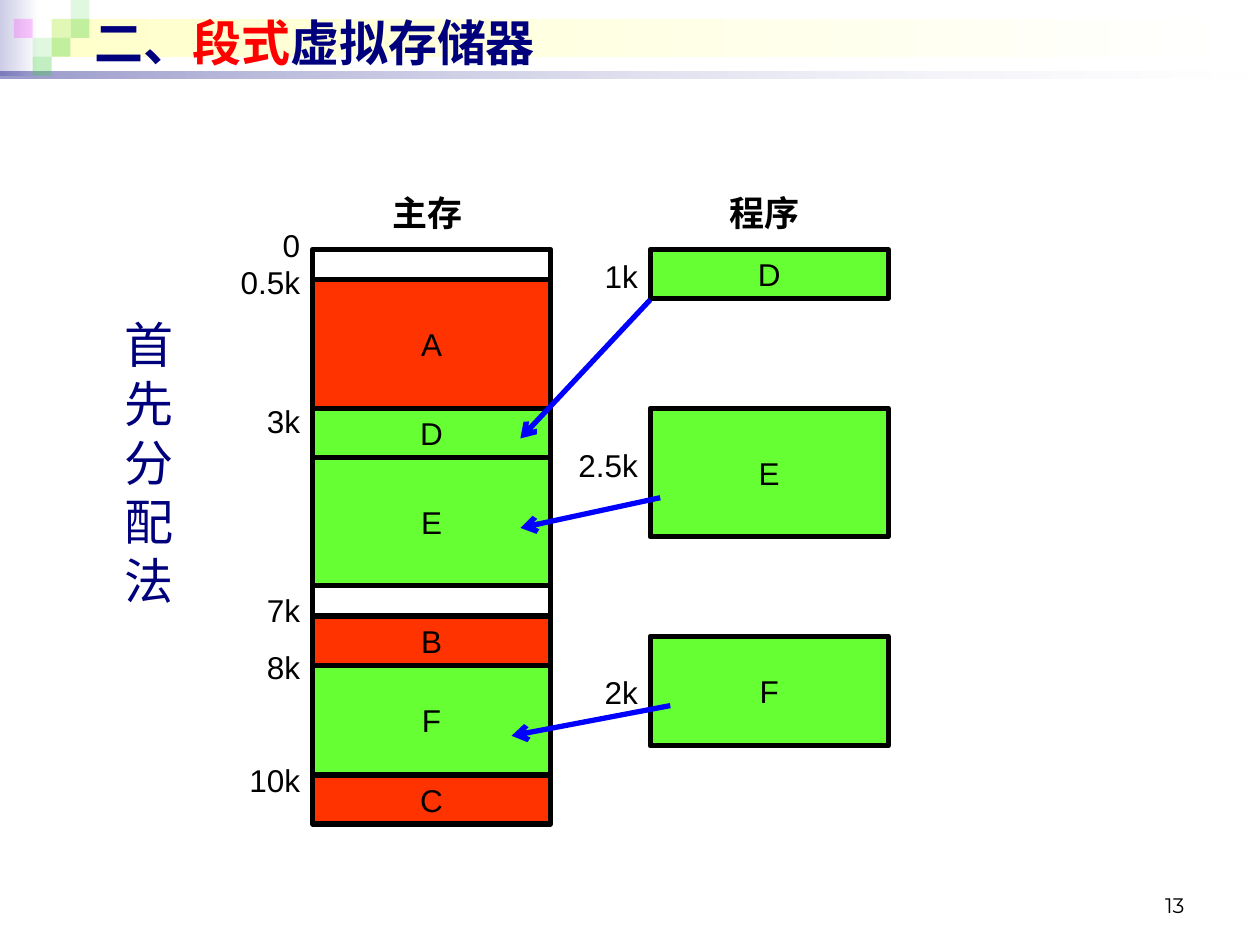
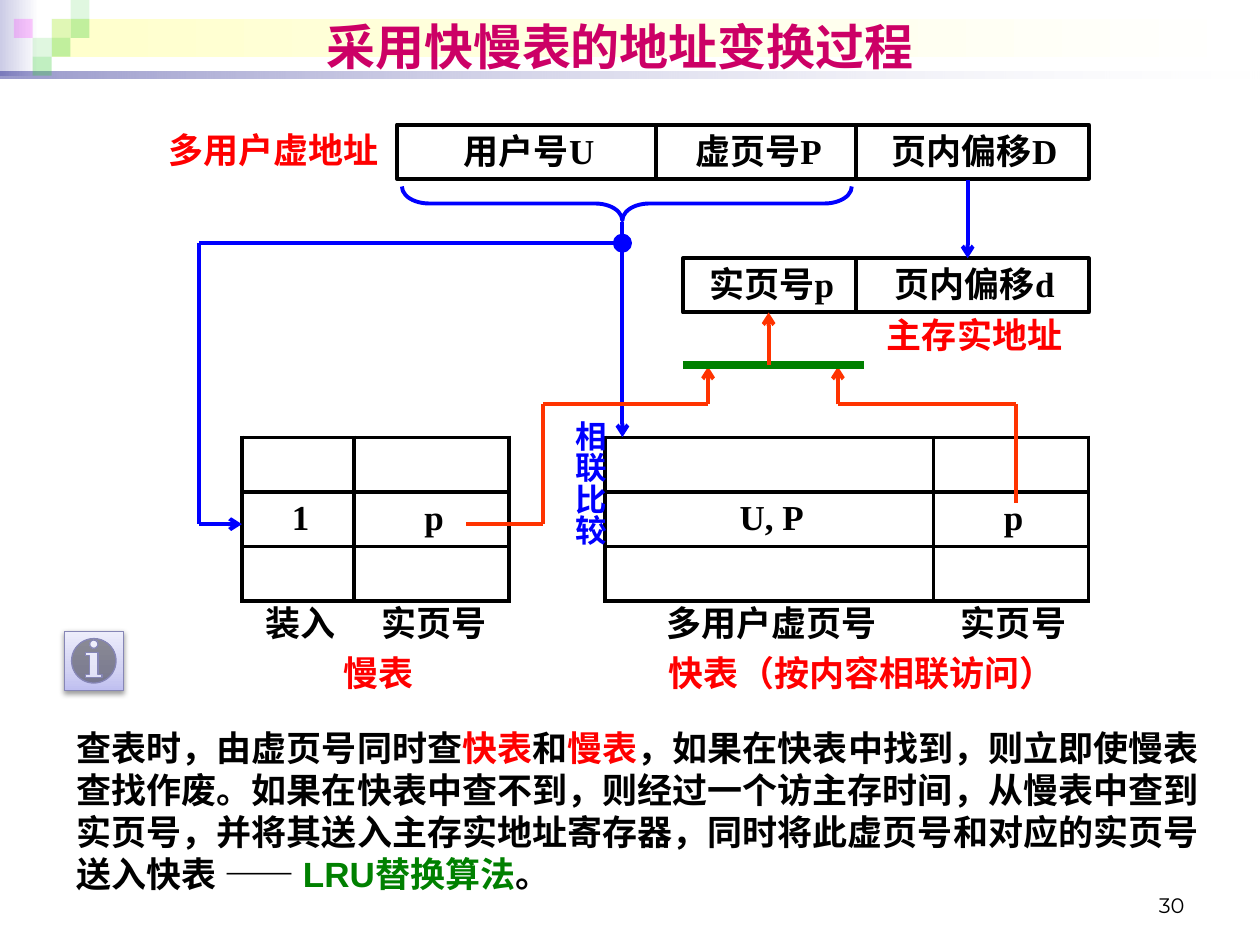
from dataclasses import dataclass
from itertools import pairwise

from lxml.etree import SubElement
from pptx import Presentation
from pptx.dml.color import RGBColor
from pptx.enum.shapes import MSO_CONNECTOR, MSO_SHAPE
from pptx.enum.text import MSO_ANCHOR, MSO_AUTO_SIZE, PP_ALIGN
from pptx.oxml.ns import qn
from pptx.util import Inches, Pt


@dataclass(frozen=True)
class Theme:
    black: str = "000000"
    white: str = "FFFFFF"
    navy: str = "00007D"
    red: str = "FF0000"
    crimson: str = "CC0066"
    blue: str = "0000FF"
    orange: str = "FF3300"
    lime: str = "66FF33"
    green: str = "008000"
    pixel_green: str = "33CC33"
    pixel_pink: str = "FF00FF"
    lavender: str = "CCCCE6"
    cream: str = "FFFFCC"
    button_edge: str = "8686B6"
    sans: str = "Arial"
    serif: str = "Times New Roman"
    number_font: str = "Montserrat"
    title_size: int = 28
    body_size: int = 20
    label_size: int = 18
    number_size: int = 12
    thick: float = 3
    medium: float = 2.25


T = Theme()
TIGHT = (0.08, 0.04, 0.04, 0)
NORMAL = (0.1, 0.05, 0.1, 0.05)
SEGMENT_WIDTH = 1.89
SEGMENT_HEIGHT = {"0.5k": 0.24, "1k": 0.39, "2k": 0.87, "2.5k": 1.02}
FIELD_HEIGHT = 0.43


def inches(*lengths):
    return [Inches(length) for length in lengths]


def set_font(font, size, color, bold=False, name=T.sans):
    font.size, font.bold, font.name = Pt(size), bold, name
    font.color.rgb = RGBColor.from_string(color)


def write(frame, runs, size, color=T.black, bold=False, name=T.sans, align=PP_ALIGN.CENTER,
          anchor=MSO_ANCHOR.TOP, insets=NORMAL, spacing=None):
    """Fill a frame with one paragraph; runs is a text or (text, color) pairs."""
    frame.word_wrap = True
    frame.auto_size = MSO_AUTO_SIZE.NONE
    frame.vertical_anchor = anchor
    (frame.margin_left, frame.margin_top,
     frame.margin_right, frame.margin_bottom) = inches(*insets)
    paragraph = frame.paragraphs[0]
    paragraph.alignment, paragraph.line_spacing = align, spacing
    set_font(paragraph.font, size, color, bold, name)
    for text, run_color in [(runs, None)] if isinstance(runs, str) else runs:
        run = paragraph.add_run()
        run.text = text
        if run_color:
            run.font.color.rgb = RGBColor.from_string(run_color)


def add_text(slide, box, runs, size, **style):
    frame = slide.shapes.add_textbox(*inches(*box)).text_frame
    write(frame, runs, size, **style)
    return frame


def add_label(slide, box, text, color=T.black):
    add_text(slide, box, text, T.body_size, color=color, bold=True, name=T.serif,
             anchor=MSO_ANCHOR.MIDDLE, insets=TIGHT, spacing=0.8)


def add_panel(slide, box, fill=None, line=None, width=T.medium, kind=MSO_SHAPE.RECTANGLE):
    panel = slide.shapes.add_shape(kind, *inches(*box))
    panel.shadow.inherit = False
    if fill:
        panel.fill.solid()
        panel.fill.fore_color.rgb = RGBColor.from_string(fill)
    else:
        panel.fill.background()
    if line:
        panel.line.color.rgb = RGBColor.from_string(line)
        panel.line.width = Pt(width)
    else:
        panel.line.fill.background()
    return panel


def add_alpha(color_element, percent):
    SubElement(color_element, qn("a:alpha"), val=str(percent * 1000))


def set_gradient(panel, stops, angle=0):
    """Apply (position, color, opacity) stops, all in percent."""
    panel.fill.gradient()
    panel.fill.gradient_angle = angle
    stop_list = panel._element.spPr.find(qn("a:gradFill")).find(qn("a:gsLst"))
    for old_stop in list(stop_list):
        stop_list.remove(old_stop)
    for position, color, opacity in stops:
        stop = SubElement(stop_list, qn("a:gs"), pos=str(position * 1000))
        add_alpha(SubElement(stop, qn("a:srgbClr"), val=color), opacity)


def add_route(slide, points, color, width=T.medium, arrow=True):
    """Join the points with straight lines, the last one ending in an arrow."""
    for start, end in pairwise(points):
        leg = slide.shapes.add_connector(MSO_CONNECTOR.STRAIGHT, *inches(*start, *end))
        leg.line.color.rgb = RGBColor.from_string(color)
        leg.line.width = Pt(width)
        if arrow and end == points[-1]:
            SubElement(leg.line._get_or_add_ln(), qn("a:tailEnd"), type="arrow")
        SubElement(leg._element.spPr, qn("a:effectLst"))


def add_header(slide):
    for box, start, end in [
        ((0, 0, 0.31, 0.6), (T.lavender, 100), (T.white, 100)),
        ((0.41, 0.15, 9.55, 0.3), (T.cream, 100), (T.white, 100)),
        ((0, 0.57, 10, 0.05), (T.navy, 40), (T.white, 10)),
    ]:
        set_gradient(add_panel(slide, box), [(0, *start), (100, *end)])
    side = 0.15
    for column, row, color, opacity in [
        (2, 1, T.pixel_green, 15), (3, 0, T.pixel_green, 15), (3, 1, T.pixel_green, 30),
        (1, 2, T.pixel_green, 15), (0, 1, T.pixel_pink, 20), (2, 2, T.pixel_green, 30),
        (1, 3, T.pixel_green, 30),
    ]:
        pixel = add_panel(slide, (0.11 + column * side, row * side, side, side), color)
        add_alpha(pixel.fill._xPr.find(qn("a:solidFill"))[0], opacity)


def start_slide(deck, number, title_box, title_runs, title_color, align):
    slide = deck.slides.add_slide(deck.slide_layouts[5])
    add_header(slide)
    title = slide.shapes.title
    title.left, title.top, title.width, title.height = inches(*title_box)
    write(title.text_frame, title_runs, T.title_size, title_color, bold=True, align=align,
          anchor=MSO_ANCHOR.MIDDLE)
    slide.shapes._spTree.append(title._element)
    add_text(slide, (7.17, 6.93, 2.33, 0.4), str(number), T.number_size, name=T.number_font,
             align=PP_ALIGN.RIGHT, anchor=MSO_ANCHOR.BOTTOM)
    return slide


def add_segment(slide, left, top, size, name, fill):
    height = SEGMENT_HEIGHT[size]
    segment = add_panel(slide, (left, top, SEGMENT_WIDTH, height), fill, T.black, T.thick)
    if name:
        write(segment.text_frame, name, T.label_size, anchor=MSO_ANCHOR.MIDDLE)
    return height


def add_segment_column(slide, left, top, heading, sizes):
    """Write the heading above a column and the (text, middle) sizes beside it."""
    add_text(slide, (left + 0.4, top - 0.51, 1.02, 0.43), heading, T.body_size, bold=True)
    for text, middle in sizes:
        add_text(slide, (left - 0.79, top + middle - 0.2, 0.79, 0.4), text, T.label_size,
                 align=PP_ALIGN.RIGHT, anchor=MSO_ANCHOR.MIDDLE)


def add_main_memory(slide, left, top):
    add_segment_column(slide, left, top, "主存", [
        ("0", -0.04), ("0.5k", 0.26), ("3k", 1.36), ("7k", 2.86), ("8k", 3.31), ("10k", 4.21)])
    for size, name, fill in [
        ("0.5k", "", None), ("2.5k", "A", T.orange), ("1k", "D", T.lime),
        ("2.5k", "E", T.lime), ("0.5k", "", None), ("1k", "B", T.orange),
        ("2k", "F", T.lime), ("1k", "C", T.orange),
    ]:
        top += add_segment(slide, left, top, size, name, fill)


def add_program(slide, left, top):
    add_segment_column(slide, left, top, "程序", [("1k", 0.21), ("2.5k", 1.71), ("2k", 3.51)])
    for offset, size, name in [(0, "1k", "D"), (1.26, "2.5k", "E"), (3.07, "2k", "F")]:
        add_segment(slide, left, top + offset, size, name, T.lime)


def build_segment_slide(deck):
    slide = start_slide(deck, 13, (0.65, 0.05, 9, 0.57),
                        [("二、", None), ("段式", T.red), ("虚拟存储器", None)],
                        T.navy, PP_ALIGN.LEFT)
    add_main_memory(slide, 2.48, 1.98)
    add_program(slide, 5.16, 1.98)
    for start, end in [((5.16, 2.38), (4.13, 3.48)), ((5.24, 3.95), (4.13, 4.19)),
                       ((5.32, 5.6), (4.06, 5.84))]:
        add_route(slide, [start, end], T.blue, T.thick)
    add_text(slide, (0.83, 2.45, 0.71, 2.44), "首先分配法", T.title_size, color=T.navy)


def add_address(slide, left, top, fields):
    for text, width in fields:
        field = add_panel(slide, (left, top, width, FIELD_HEIGHT), line=T.black)
        write(field.text_frame, text, T.body_size, bold=True, name=T.serif,
              anchor=MSO_ANCHOR.MIDDLE, insets=TIGHT, spacing=0.8)
        left += width


def style_cell(cell):
    cell.margin_left, cell.margin_top, cell.margin_right, cell.margin_bottom = inches(*TIGHT)
    cell.vertical_anchor = MSO_ANCHOR.MIDDLE
    cell.fill.background()
    paragraph = cell.text_frame.paragraphs[0]
    paragraph.alignment, paragraph.line_spacing = PP_ALIGN.CENTER, 0.8
    set_font(paragraph.font, T.body_size, T.black, True, T.serif)
    properties = cell._tc.get_or_add_tcPr()
    for order, edge in enumerate(("lnL", "lnR", "lnT", "lnB")):
        border = SubElement(properties, qn(f"a:{edge}"), w=str(Pt(T.medium)))
        SubElement(SubElement(border, qn("a:solidFill")), qn("a:srgbClr"), val=T.black)
        properties.insert(order, border)


def add_lookup_table(slide, left, top, columns, caption, caption_box):
    """Draw three rows with the entry in the middle; columns are (entry, heading, width)."""
    height = 1.3
    widths = [width for _, _, width in columns]
    table = slide.shapes.add_table(
        3, len(columns), *inches(left, top, sum(widths), height)).table
    table.first_row = table.horz_banding = False
    for row in table.rows:
        row.height = Inches(height / 3)
    for index, (entry, heading, width) in enumerate(columns):
        table.columns[index].width = Inches(width)
        table.cell(1, index).text = entry
        add_label(slide, (left + sum(widths[:index]), top + 1.27, width, FIELD_HEIGHT), heading)
    for cell in table.iter_cells():
        style_cell(cell)
    offset, width = caption_box
    add_label(slide, (left + offset, top + 1.66, width, FIELD_HEIGHT), caption, T.red)


def add_lookup_routes(slide):
    add_route(slide, [(4.94, 1.76), (4.94, 3.47)], T.blue)
    add_route(slide, [(7.68, 1.43), (7.68, 2.05)], T.blue)
    add_route(slide, [(4.94, 1.93), (1.58, 1.93), (1.58, 4.16), (1.92, 4.16)], T.blue)
    add_route(slide, [(3.7, 4.16), (4.31, 4.16), (4.31, 3.21), (5.62, 3.21), (5.62, 2.91)],
              T.orange)
    add_route(slide, [(8.06, 3.99), (8.06, 3.21), (6.65, 3.21), (6.65, 2.91)], T.orange)
    add_route(slide, [(5.42, 2.9), (6.86, 2.9)], T.green, 4.5, arrow=False)
    add_route(slide, [(6.1, 2.9), (6.1, 2.48)], T.orange)
    brace = add_panel(slide, (4.84, -0.17, 0.27, 3.57), line=T.blue, kind=MSO_SHAPE.LEFT_BRACE)
    brace.rotation = 270
    brace.adjustments[0], brace.adjustments[1] = 0.798, 0.49
    add_panel(slide, (4.88, 1.87, 0.12, 0.12), T.blue, T.blue, kind=MSO_SHAPE.OVAL)


def add_info_button(slide, box):
    button = add_panel(slide, box, line=T.button_edge, width=0.75,
                       kind=MSO_SHAPE.ACTION_BUTTON_INFORMATION)
    set_gradient(button, [(0, "BFBFF0", 100), (35, "D2D2F3", 100), (100, "EDEDFB", 100)], 90)
    shadow = SubElement(button._element.spPr.find(qn("a:effectLst")), qn("a:outerShdw"),
                        blurRad=str(Pt(3.1)), dist=str(Pt(1.6)), dir="5400000", rotWithShape="0")
    add_alpha(SubElement(shadow, qn("a:srgbClr"), val=T.black), 38)


def build_lookup_slide(deck):
    slide = start_slide(deck, 30, (2.39, 0.08, 5.06, 0.57), "采用快慢表的地址变换过程",
                        T.crimson, PP_ALIGN.CENTER)
    add_text(slide, (0.51, 5.72, 9.13, 1.43), [
        ("查表时，由虚页号同时查", None), ("快表", T.red), ("和", None), ("慢表", T.red),
        ("，如果在快表中找到，则立即使慢表查找作废。如果在快表中查不到，则经过一个访主存时间，"
         "从慢表中查到实页号，并将其送入主存实地址寄存器，同时将此虚页号和对应的实页号送入快表 —— ",
         None),
        ("LRU替换算法", T.green), ("。", None),
    ], T.body_size, bold=True, align=PP_ALIGN.LEFT)
    add_label(slide, (1.22, 0.99, 1.86, 0.41), "多用户虚地址", T.red)
    add_address(slide, 3.15, 0.99, [("用户号U", 2.06), ("虚页号P", 1.58), ("页内偏移D", 1.85)])
    add_address(slide, 5.42, 2.05, [("实页号p", 1.37), ("页内偏移d", 1.85)])
    add_label(slide, (6.72, 2.48, 1.99, 0.37), "主存实地址", T.red)
    add_lookup_table(slide, 1.92, 3.47, [("1", "装入", 0.89), ("p", "实页号", 1.23)],
                     "慢表", (0.55, 1.03))
    add_lookup_table(slide, 4.8, 3.47, [("U, P", "多用户虚页号", 2.61), ("p", "实页号", 1.23)],
                     "快表（按内容相联访问）", (-0.07, 4.18))
    add_lookup_routes(slide)
    comparison = add_text(slide, (4.38, 3.24, 0.5, 1.42), "相联比较", T.label_size,
                          color=T.blue, bold=True)
    comparison._bodyPr.set("vert", "eaVert")
    add_info_button(slide, (0.51, 5.01, 0.47, 0.47))


def main():
    deck = Presentation()
    deck.slide_width, deck.slide_height = inches(10, 7.5)
    build_segment_slide(deck)
    build_lookup_slide(deck)
    deck.save("out.pptx")


if __name__ == "__main__":
    main()
